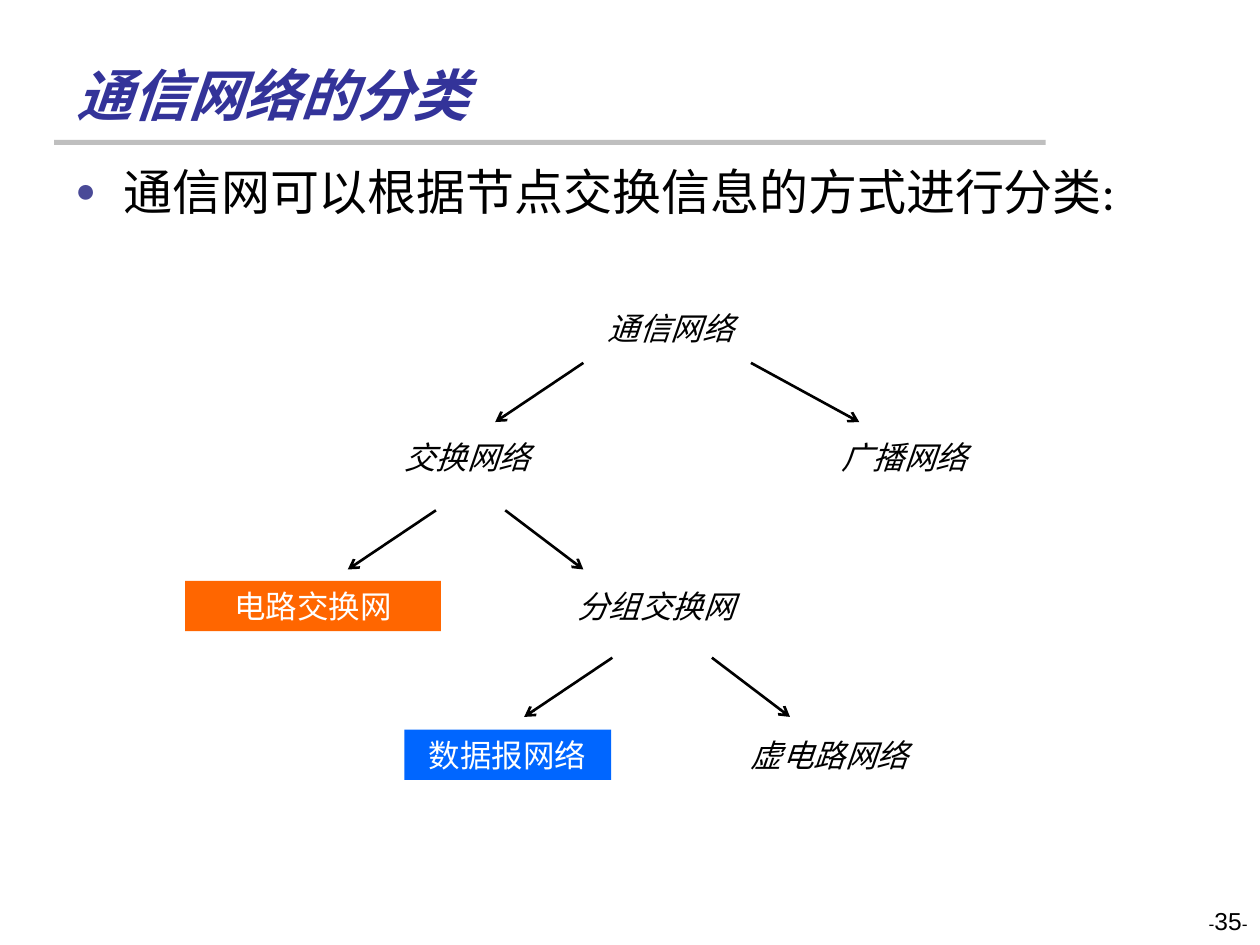
import pptx
import pptx.dml.color
import pptx.enum.shapes
import pptx.enum.text
import pptx.oxml
import pptx.oxml.ns
import pptx.util

Inches = pptx.util.Inches
ALIGN = pptx.enum.text.PP_ALIGN
ANCHOR = pptx.enum.text.MSO_ANCHOR
NODE_HEIGHT = 0.4
PLAIN = {"fill": "FFFFFF", "color": "000000", "italic": True}
ORANGE = {"fill": "FF6600", "color": "FFFFFF", "italic": False}
BLUE = {"fill": "0066FF", "color": "FFFFFF", "italic": False}

# Text, left, top, width, style
NODES = [
    ("通信网络", 4.23, 2.4, 2.19, PLAIN),
    ("交换网络", 2.81, 3.43, 1.8, PLAIN),
    ("广播网络", 6.12, 3.43, 2.11, PLAIN),
    ("电路交换网", 1.47, 4.61, 2.03, ORANGE),
    ("分组交换网", 4.15, 4.61, 2.11, PLAIN),
    ("数据报网络", 3.21, 5.79, 1.64, BLUE),
    ("虚电路网络", 5.57, 5.79, 2.03, PLAIN),
]

# Start point and horizontal run; every arrow drops by the same amount
ARROW_DROP = 0.47
ARROWS = [
    (4.63, 2.88, -0.7), (5.96, 2.88, 0.86),
    (3.46, 4.05, -0.7), (4.01, 4.05, 0.62),
    (4.86, 5.22, -0.7), (5.65, 5.22, 0.62),
]


def rgb(value):
    return pptx.dml.color.RGBColor.from_string(value)


def add_element(parent, xml):
    namespace = pptx.oxml.ns.nsdecls("a")
    parent.append(pptx.oxml.parse_xml(xml.replace("/>", f" {namespace}/>")))


def add_span(para, text, color, **formats):
    span = para.add_run()
    span.text = text
    span.font.color.rgb = rgb(color)
    for name, value in formats.items():
        setattr(span.font, name, value)


def add_box(page, left, top, width, height, anchor=ANCHOR.TOP):
    box = page.shapes.add_textbox(
        Inches(left), Inches(top), Inches(width), Inches(height))
    box.text_frame.word_wrap = True
    box.text_frame.vertical_anchor = anchor
    return box.text_frame.paragraphs[0]


def add_bullet(para, indent, color, percent, mark):
    properties = para._p.get_or_add_pPr()
    properties.set("marL", str(Inches(indent)))
    properties.set("indent", str(-Inches(indent)))
    color_element = pptx.oxml.parse_xml(
        f'<a:buClr {pptx.oxml.ns.nsdecls("a")}><a:srgbClr val="{color}"/></a:buClr>')
    properties.append(color_element)
    add_element(properties, f'<a:buSzPct val="{percent * 1000}"/>')
    add_element(properties, '<a:buFont typeface="Arial"/>')
    add_element(properties, f'<a:buChar char="{mark}"/>')


def add_rectangle(page, left, top, width, height, fill):
    shape = page.shapes.add_shape(
        pptx.enum.shapes.MSO_SHAPE.RECTANGLE,
        Inches(left), Inches(top), Inches(width), Inches(height))
    shape.shadow.inherit = False
    shape.fill.solid()
    shape.fill.fore_color.rgb = rgb(fill)
    shape.line.fill.background()
    return shape


def add_node(page, text, left, top, width, style):
    shape = add_rectangle(page, left, top, width, NODE_HEIGHT, style["fill"])
    shape.text_frame.word_wrap = True
    shape.text_frame.vertical_anchor = ANCHOR.TOP
    para = shape.text_frame.paragraphs[0]
    para.alignment = ALIGN.CENTER
    add_span(para, text, style["color"], name="Arial",
             size=pptx.util.Pt(18), italic=style["italic"])


def add_arrow(page, left, top, run):
    arrow = page.shapes.add_connector(
        pptx.enum.shapes.MSO_CONNECTOR.STRAIGHT, Inches(left), Inches(top),
        Inches(left + run), Inches(top + ARROW_DROP))
    arrow.line.color.rgb = rgb("000000")
    arrow.line.width = pptx.util.Pt(1.5)
    add_element(arrow.line._get_or_add_ln(), '<a:tailEnd type="arrow"/>')
    add_element(arrow._element.spPr, "<a:effectLst/>")


def main():
    deck = pptx.Presentation()
    deck.slide_width, deck.slide_height = Inches(10), Inches(7.5)
    page = deck.slides.add_slide(deck.slide_layouts[6])

    # Title and rule
    add_rectangle(page, 0.43, 1.11, 7.87, 0.04, "BFBFBF")
    title = add_box(page, 0.51, 0.28, 8.25, 0.78, ANCHOR.BOTTOM)
    add_span(title, "通信网络的分类", "333399", name="Calibri",
             size=pptx.util.Pt(32), bold=True, italic=True)

    # Lead sentence
    lead = add_box(page, 0.5, 1.23, 9, 0.65)
    add_bullet(lead, 0.38, "4A4A97", 70, "●")
    add_span(lead, "通信网可以根据节点交换信息的方式进行分类:", "000000",
             name="Calibri", size=pptx.util.Pt(28))

    # Classification tree
    for node in NODES:
        add_node(page, *node)
    for arrow in ARROWS:
        add_arrow(page, *arrow)

    # Page number
    number = add_box(page, 7.67, 7.14, 2.33, 0.5)
    number.alignment = ALIGN.RIGHT
    for text, size in (("-", 10), ("35", 14), ("-", 10)):
        add_span(number, text, "000000", name="Arial", size=pptx.util.Pt(size))

    deck.save("out.pptx")


if __name__ == "__main__":
    main()
